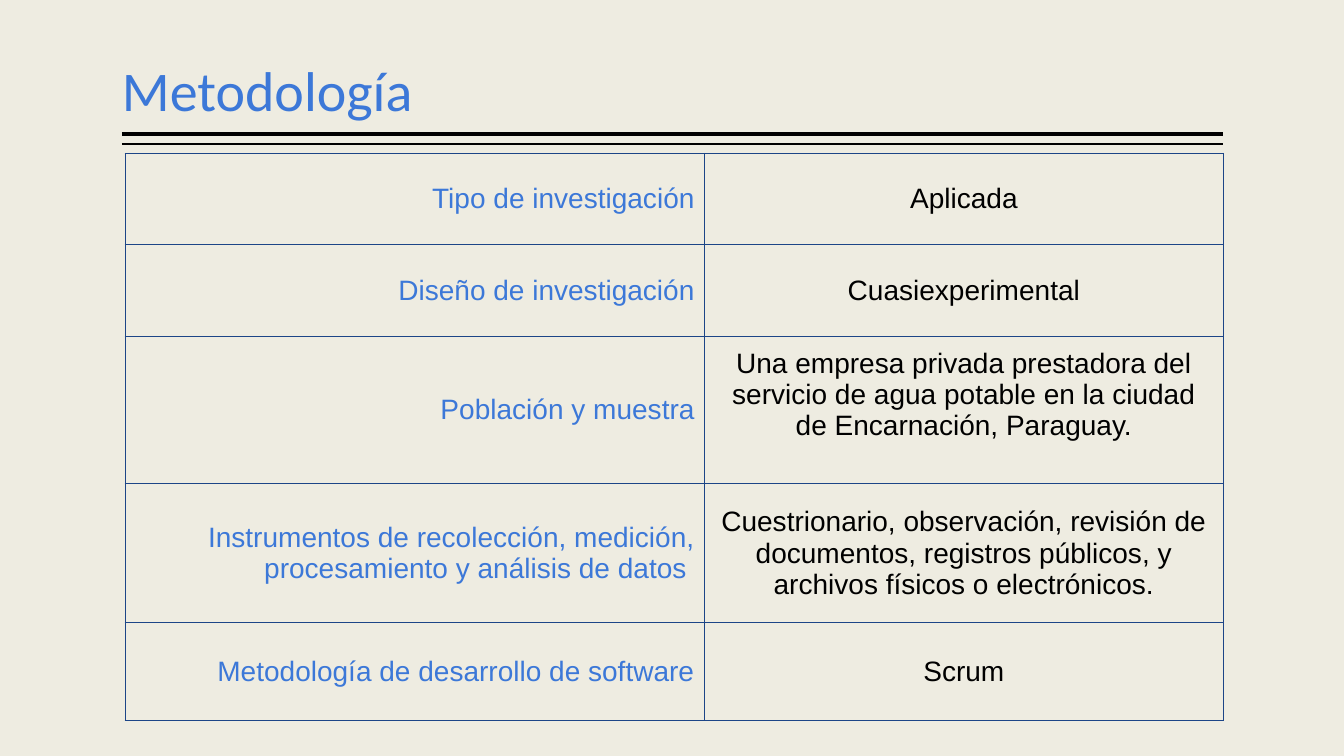
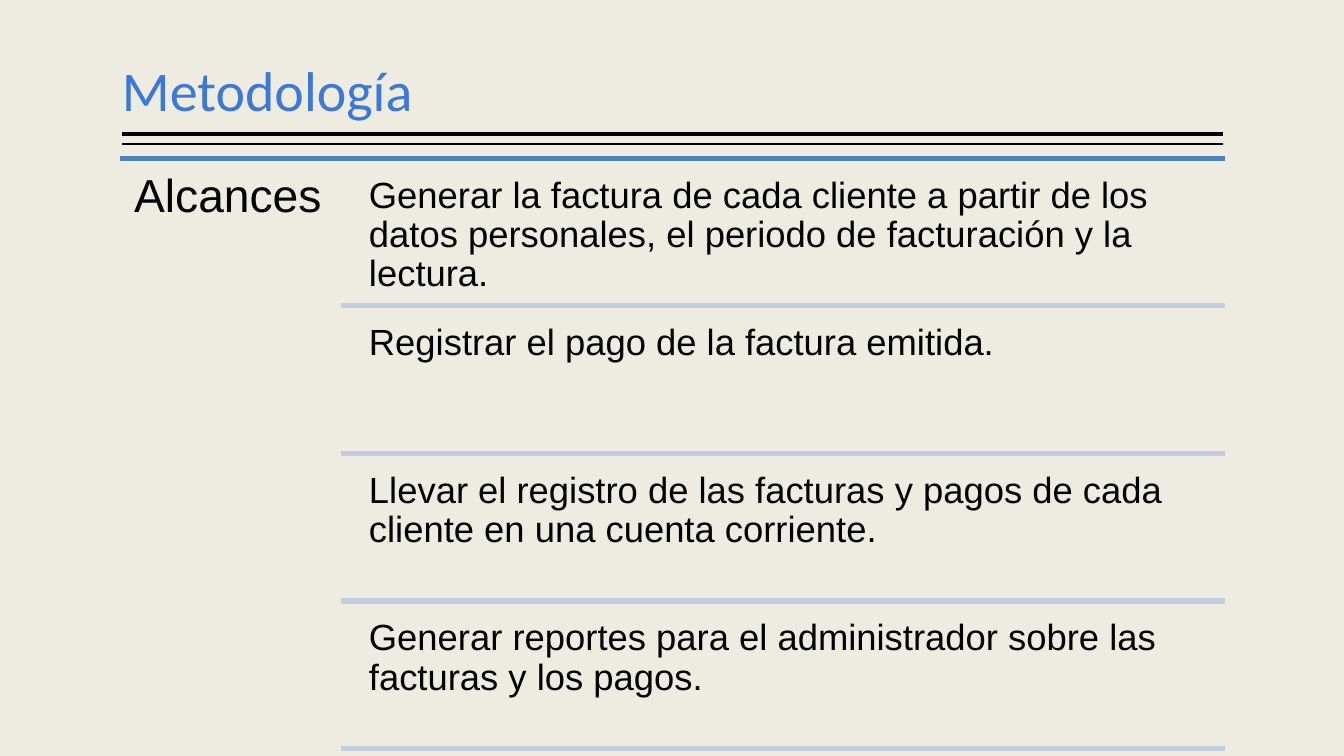
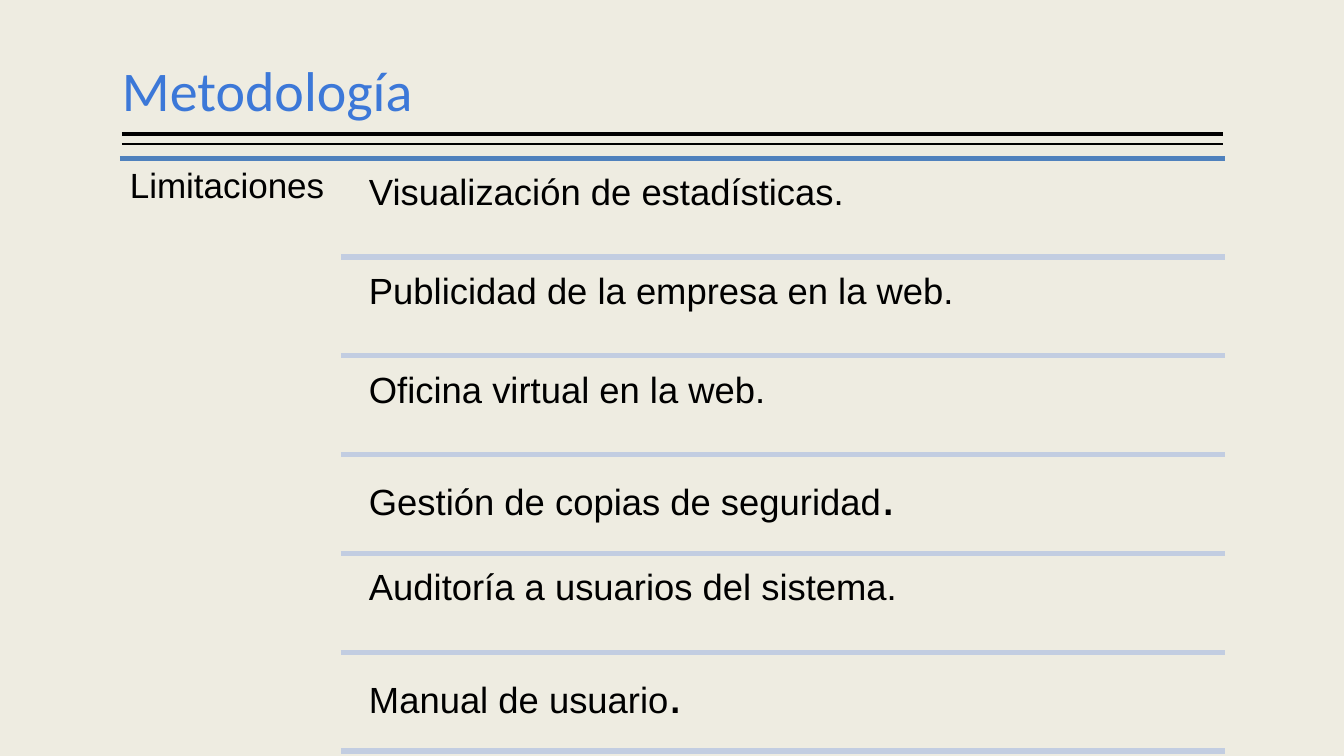
from lxml import etree
from pptx import Presentation
from pptx.dml.color import RGBColor
from pptx.enum import shapes, text
from pptx.oxml import ns
from pptx.util import Inches, Pt

COLORS = {"paper": "EEECE1", "ink": "000000", "blue": "3C78D8",
          "border": "1C4587", "top_rule": "4F81BD", "item_rule": "C2CDE1"}
TITLE = "Metodología"
SLIDE_W, SLIDE_H = 13.33, 7.5
RULE_LEFT, RULE_RIGHT = 1.21, 12.13

# Content
METHOD = [
    ("Tipo de investigación", "Aplicada", 0.91),
    ("Diseño de investigación", "Cuasiexperimental", 0.91),
    ("Población y muestra",
     "Una empresa privada prestadora del servicio de agua potable "
     "en la ciudad de Encarnación, Paraguay.", 1.46),
    ("Instrumentos de recolección, medición, procesamiento y análisis de datos ",
     "Cuestrionario, observación, revisión de documentos, registros públicos, "
     "y archivos físicos o electrónicos.", 1.38),
    ("Metodología de desarrollo de software", "Scrum", 0.97),
]
METHOD_COLS = (5.75, 5.14)
RAISED_ROW = 2  # its answer sits above the middle of the cell

BIG_DOT = (".", 37)
SECTIONS = [
    {"heading": "Alcances", "size": 33, "inset": 0.14, "items": [
        ["Generar la factura de cada cliente a partir de los datos personales, "
         "el periodo de facturación y la lectura."],
        ["Registrar el pago de la factura emitida."],
        ["Llevar el registro de las facturas y pagos de cada cliente "
         "en una cuenta corriente."],
        ["Generar reportes para el administrador sobre las facturas y los pagos."],
    ]},
    {"heading": "Limitaciones", "size": 25, "inset": 0.1, "items": [
        ["Visualización de estadísticas."],
        ["Publicidad de la empresa en la web."],
        ["Oficina virtual en la web."],
        ["Gestión de copias de seguridad", BIG_DOT],
        ["Auditoría a usuarios del sistema."],
        ["Manual de usuario", BIG_DOT],
    ]},
]


def rgb(name):
    return RGBColor.from_string(COLORS[name])


def write(frame, runs, size, color="ink", font="Arial", align=None, spacing=None):
    """Fill the first paragraph; a run is a string or a (string, size) pair."""
    paragraph = frame.paragraphs[0]
    if align is not None:
        paragraph.alignment = align
    if spacing is not None:
        paragraph.line_spacing = spacing
    for part in runs:
        words, points = part if isinstance(part, tuple) else (part, size)
        run = paragraph.add_run()
        run.text = words
        run.font.size, run.font.name = Pt(points), font
        run.font.color.rgb = rgb(color)


def set_insets(frame, x, y):
    frame.margin_left = frame.margin_right = Inches(x)
    frame.margin_top = frame.margin_bottom = Inches(y)


def place(shape, left, top, width, height):
    shape.left, shape.top = Inches(left), Inches(top)
    shape.width, shape.height = Inches(width), Inches(height)


def add_rule(slide, left, right, y, color, weight):
    rule = slide.shapes.add_connector(shapes.MSO_CONNECTOR.STRAIGHT, Inches(left),
                                      Inches(y), Inches(right), Inches(y))
    rule.line.color.rgb = rgb(color)
    rule.line.width = Pt(weight)
    etree.SubElement(rule.element.spPr, ns.qn("a:effectLst"))
    return rule


def add_text(slide, runs, box, inset, size):
    frame = slide.shapes.add_textbox(*map(Inches, box)).text_frame
    frame.word_wrap = True
    set_insets(frame, inset, inset)
    write(frame, runs, size, spacing=0.9)


def set_borders(cell, color, weight):
    props = cell._tc.get_or_add_tcPr()
    for index, side in enumerate(("lnL", "lnR", "lnT", "lnB")):
        line = etree.Element(ns.qn("a:" + side), w=str(Pt(weight)))
        fill = etree.SubElement(line, ns.qn("a:solidFill"))
        etree.SubElement(fill, ns.qn("a:srgbClr"), val=COLORS[color])
        props.insert(index, line)


def style_master(prs):
    """Background, title box and the double rule below it."""
    master = prs.slide_master
    master.background.fill.solid()
    master.background.fill.fore_color.rgb = rgb("paper")
    title = master.placeholders[0]
    place(title, RULE_LEFT, 0.08, RULE_RIGHT - RULE_LEFT, 1.2)
    frame = title.text_frame
    frame.auto_size = text.MSO_AUTO_SIZE.NONE
    frame.vertical_anchor = text.MSO_ANCHOR.BOTTOM
    set_insets(frame, 0, 0.05)


def add_title_slide(prs):
    slide = prs.slides.add_slide(prs.slide_layouts.get_by_name("Title Only"))
    write(slide.shapes.title.text_frame, [TITLE], 40, color="blue", font="Calibri",
          align=text.PP_ALIGN.LEFT, spacing=0.9)
    return slide


def add_master_rules(prs, slide):
    """Rules are made on a slide, then moved to the master."""
    for y, weight in ((1.33, 3), (1.43, 1)):
        rule = add_rule(slide, RULE_LEFT, RULE_RIGHT, y, "ink", weight)
        prs.slide_master.shapes.element.append(rule.element)


def add_method_table(slide):
    heights = [row[2] for row in METHOD]
    table = slide.shapes.add_table(
        len(METHOD), len(METHOD_COLS), Inches(1.24), Inches(1.52),
        Inches(sum(METHOD_COLS)), Inches(sum(heights))).table
    table.first_row = table.horz_banding = False
    for column, width in zip(table.columns, METHOD_COLS):
        column.width = Inches(width)
    formats = (("blue", text.PP_ALIGN.RIGHT), ("ink", text.PP_ALIGN.CENTER))
    for r, (label, answer, height) in enumerate(METHOD):
        table.rows[r].height = Inches(height)
        for c, (words, (color, align)) in enumerate(zip((label, answer), formats)):
            cell = table.cell(r, c)
            cell.fill.background()
            cell.vertical_anchor = text.MSO_ANCHOR.MIDDLE
            set_insets(cell, 0.1, 0.07)
            set_borders(cell, "border", 0.75)
            write(cell.text_frame, [words], 20, color=color, align=align)
    table.cell(RAISED_ROW, 1).margin_bottom = Inches(0.38)


def add_section(slide, section):
    left, top, right, heading_w, item_left = 1.19, 1.57, 12.15, 2.19, 3.55
    height = SLIDE_H - top
    add_rule(slide, left, right, top, "top_rule", 3.78)
    add_text(slide, [section["heading"]], (left, top, heading_w, height),
             section["inset"], section["size"])
    # Equal rows, each with a gap of 5 % above it and one more gap at the end
    gap_share = 0.05
    pitch = height / (len(section["items"]) + gap_share)
    gap = pitch * gap_share
    for i, runs in enumerate(section["items"]):
        y = top + i * pitch
        add_text(slide, runs, (item_left, y + gap, right - item_left, pitch - gap),
                 0.11, 26)
        add_rule(slide, left + heading_w, right, y + pitch, "item_rule", 3.78)


def main():
    prs = Presentation()
    prs.slide_width, prs.slide_height = Inches(SLIDE_W), Inches(SLIDE_H)
    style_master(prs)
    method_slide = add_title_slide(prs)
    add_master_rules(prs, method_slide)
    add_method_table(method_slide)
    for section in SECTIONS:
        add_section(add_title_slide(prs), section)
    prs.save("out.pptx")


if __name__ == "__main__":
    main()
